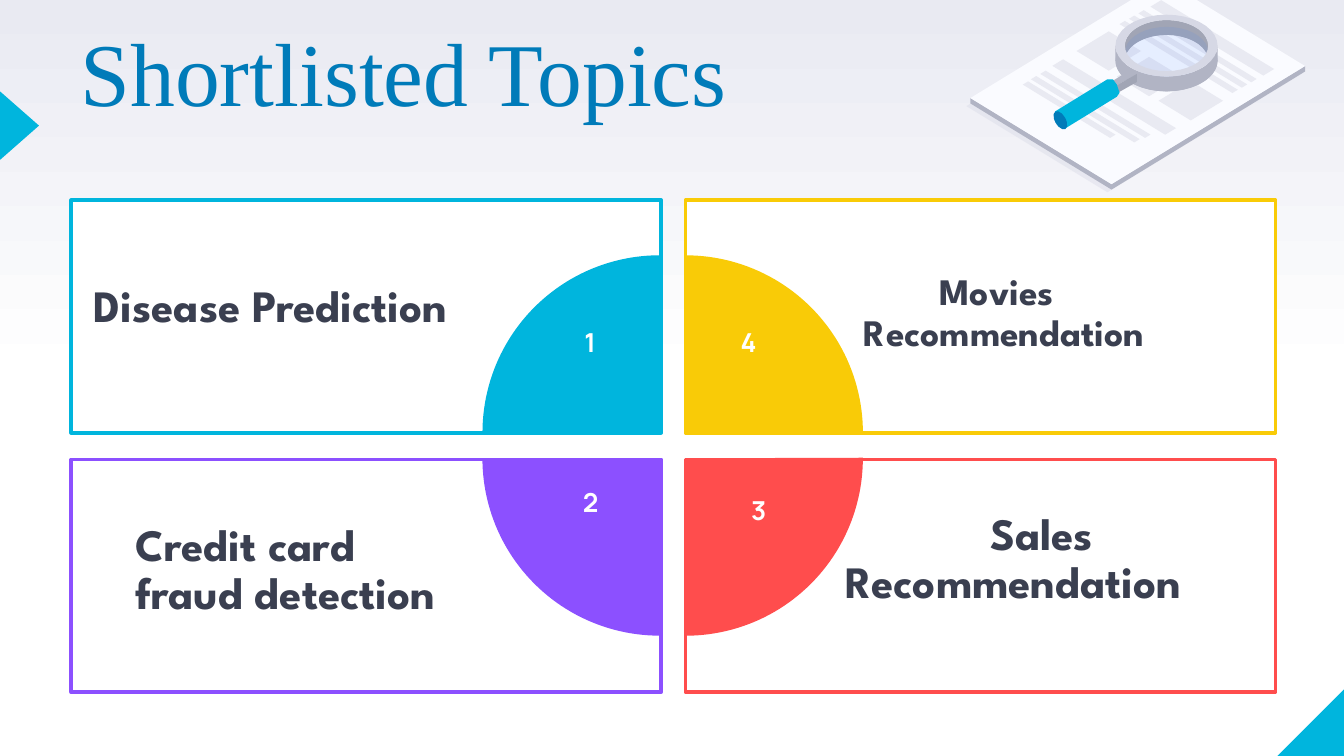
import math

from lxml import etree
from pptx import Presentation
from pptx.dml.color import RGBColor
from pptx.enum import shapes, text
from pptx.oxml.ns import qn
from pptx.util import Inches, Pt

CYAN = RGBColor(0x00, 0xB5, 0xDD)
BLUE = RGBColor(0x00, 0x7B, 0xB9)
YELLOW = RGBColor(0xF9, 0xCB, 0x07)
RED = RGBColor(0xFF, 0x4D, 0x4D)
PURPLE = RGBColor(0x8C, 0x50, 0xFF)
WHITE = RGBColor(0xFF, 0xFF, 0xFF)
INK = RGBColor(0x3A, 0x3F, 0x50)
MIST = RGBColor(0xE9, 0xEA, 0xF2)
PAPER = RGBColor(0xFA, 0xFB, 0xFF)
SILVER = RGBColor(0xD6, 0xD8, 0xE5)
GRAY = RGBColor(0xB1, 0xB4, 0xC4)
DARK_GRAY = RGBColor(0xA1, 0xA5, 0xB5)
GLASS = RGBColor(0x3E, 0x7E, 0xFF)

# Content: column, row, colour, pie rotation, number and its box, topic and its box
TOPICS = [
    dict(col=0, row=0, color=CYAN, turn=0, num="1", num_box=(4.2, 2.38, 0.38, 0.56),
         lines=["Disease Prediction"], box=(0.6, 1.25, 4.54, 2.08), size=24, indent=0),
    dict(col=1, row=0, color=YELLOW, turn=90, num="4", num_box=(5.31, 2.38, 0.52, 0.56),
         lines=["Movies Recommendation"], box=(6.33, 1.51, 3.35, 1.65), size=20, indent=0.56),
    dict(col=1, row=1, color=RED, turn=180, num="3", num_box=(5.45, 3.63, 0.39, 0.52),
         lines=["Sales Recommendation"], box=(6.19, 3.34, 3.68, 1.65), size=24, indent=1.08),
    dict(col=0, row=1, color=PURPLE, turn=270, num="2", num_box=(4.16, 3.57, 0.47, 0.58),
         lines=["Credit card", "fraud detection"], box=(0.91, 3.34, 3.59, 1.82), size=24, indent=0),
]
CARD_X, CARD_Y, CARD_W, CARD_H = (0.53, 5.1), (1.49, 3.42), 4.39, 1.73
PIE_X, PIE_Y, PIE_D = (3.59, 3.78), (1.9, 2.09), 2.64

# Printed bars on the sheet: left corner x, y, length along, width across
BARS = [
    (8.56, 0.05, 0.84, 0.08), (8.47, 0.1, 0.84, 0.04), (8.4, 0.14, 0.84, 0.04),
    (8.33, 0.18, 0.84, 0.04), (7.83, 0.49, 0.84, 0.08), (7.74, 0.55, 0.78, 0.04),
    (7.67, 0.59, 0.77, 0.04), (7.61, 0.63, 0.65, 0.04), (8.01, 0.38, 0.24, 0.24),
    (8.31, 0.57, 0.24, 0.24), (8.62, 0.75, 0.24, 0.24),
]
SLOPE = 0.61
LENS_X, TOP_Y, LOW_Y = 8.68, 0.34, 0.45
OUTER, INNER = (0.38, 0.23), (0.31, 0.19)


def paint(sp, color, opacity=None, line=None):
    sp.shadow.inherit = False
    sp.fill.solid()
    sp.fill.fore_color.rgb = color
    if opacity:
        clr = sp.fill._xPr.find(qn("a:solidFill"))[0]
        etree.SubElement(clr, qn("a:alpha")).set("val", str(opacity * 1000))
    if line:
        sp.line.color.rgb = line
        sp.line.width = Pt(2)
    else:
        sp.line.fill.background()
    return sp


def add_preset(parent, kind, box, color, turn=0, line=None):
    sp = parent.add_shape(kind, *map(Inches, box))
    sp.rotation = turn
    return paint(sp, color, line=line)


def add_outline(parent, contours, color, opacity=None):
    """Fill one shape made of closed contours; a second one cuts a hole."""
    contours = [[(Inches(x), Inches(y)) for x, y in c] for c in contours]
    fb = parent.build_freeform(*contours[0][0])
    fb.add_line_segments(contours[0][1:], close=True)
    for c in contours[1:]:
        fb.move_to(*c[0])
        fb.add_line_segments(c[1:], close=True)
    return paint(fb.convert_to_shape(), color, opacity)


def add_text(s, lines, box, font="League Spartan", size=24, color=INK, bold=True,
             align=None, anchor=text.MSO_ANCHOR.TOP, inset=(0.1, 0.05), spacing=None, indent=0):
    tf = s.shapes.add_textbox(*map(Inches, box)).text_frame
    tf.word_wrap = True
    tf.vertical_anchor = anchor
    tf.margin_left = tf.margin_right = Inches(inset[0])
    tf.margin_top = tf.margin_bottom = Inches(inset[1])
    for i, line in enumerate(lines):
        p = tf.paragraphs[0] if i == 0 else tf.add_paragraph()
        p.alignment = align
        p.line_spacing = spacing
        if indent:
            p._p.get_or_add_pPr().set("indent", str(Inches(indent)))
        r = p.add_run()
        r.text = line
        r.font.name, r.font.size, r.font.bold = font, Pt(size), bold
        r.font.color.rgb = color


def iso(x, y, along, across):
    """Parallelogram lying on the tilted sheet, from its left corner."""
    return [(x, y), (x + across, y - SLOPE * across),
            (x + across + along, y + SLOPE * (along - across)), (x + along, y + SLOPE * along)]


def arc(cy, radii, start=0, end=360, steps=36):
    angles = [math.radians(start + (end - start) * i / steps) for i in range(steps + 1)]
    return [(LENS_X + radii[0] * math.cos(a), cy + radii[1] * math.sin(a)) for a in angles]


# Widescreen 16:9 slide
prs = Presentation()
prs.slide_width = Inches(10)
prs.slide_height = prs.slide_width * 9 // 16
s = prs.slides.add_slide(prs.slide_layouts[6])

# Background fading from white up to pale gray
bg = s.background.fill
bg.gradient()
bg.gradient_angle = 90
for stop, (pos, color) in zip(bg.gradient_stops, [(0.5, WHITE), (1, MIST)]):
    stop.position = pos
    stop.color.rgb = color

# Corner and edge triangles
add_preset(s.shapes, shapes.MSO_SHAPE.RIGHT_TRIANGLE, (9.5, 5.12, 0.51, 0.51), CYAN, turn=270)
add_preset(s.shapes, shapes.MSO_SHAPE.ISOSCELES_TRIANGLE, (-0.11, 0.79, 0.51, 0.29), CYAN, turn=90)

# Title
add_text(s, ["Shortlisted Topics"], (0.6, 0.28, 6.17, 1.18), font="Times New Roman", size=48,
         color=BLUE, bold=False, inset=(0, 0), spacing=0.8)

# Cards, then quarter pies, then numbers and topics
for t in TOPICS:
    add_preset(s.shapes, shapes.MSO_SHAPE.RECTANGLE,
               (CARD_X[t["col"]], CARD_Y[t["row"]], CARD_W, CARD_H), WHITE, line=t["color"])
for t in TOPICS:
    pie = add_preset(s.shapes, shapes.MSO_SHAPE.PIE,
                     (PIE_X[t["col"]], PIE_Y[t["row"]], PIE_D, PIE_D), t["color"], turn=t["turn"])
    pie.adjustments[0], pie.adjustments[1] = 107.89, 162
for t in TOPICS:
    add_text(s, [t["num"]], t["num_box"], font="Manrope", size=14, color=WHITE,
             align=text.PP_ALIGN.CENTER)
    add_text(s, t["lines"], t["box"], size=t["size"], anchor=text.MSO_ANCHOR.MIDDLE,
             inset=(0.1, 0.1), spacing=0.9, indent=t["indent"])

# Sheet of paper
art = s.shapes.add_group_shape().shapes
sheet = iso(7.22, 0.73, 1.05, 1.44)
left, _, right, front = sheet
add_outline(art, [iso(7.19, 0.79, 1.05, 1.43)], SILVER, opacity=40)
add_outline(art, [[left, front, right] + [(x, y + 0.04) for x, y in (right, front, left)]], GRAY)
add_outline(art, [sheet], PAPER)
for bar in BARS:
    add_outline(art, [iso(*bar)], MIST)

# Magnifier: lower rim, back wall, glass, front wall, upper rim
add_outline(art, [arc(LOW_Y, OUTER), arc(LOW_Y, INNER)], GRAY)
add_outline(art, [arc(TOP_Y, INNER, 180, 360) + arc(LOW_Y, INNER, 360, 180)], DARK_GRAY)
add_outline(art, [arc(0.39, INNER)], GLASS, opacity=10)
add_outline(art, [arc(TOP_Y, OUTER, 0, 180) + arc(LOW_Y, OUTER, 180, 0)], GRAY)
add_outline(art, [arc(TOP_Y, OUTER), arc(TOP_Y, INNER)], SILVER)

# Magnifier neck and grip
add_outline(art, [[(8.46, 0.55), (8.3, 0.64), (8.25, 0.62), (8.41, 0.52)]], GRAY)
add_outline(art, [[(8.46, 0.61), (8.3, 0.7), (8.3, 0.64), (8.46, 0.55)]], DARK_GRAY)
add_outline(art, [[(8.24, 0.59), (8.28, 0.59), (8.31, 0.63), (8.33, 0.69), (8.31, 0.72),
                   (7.92, 0.96), (7.85, 0.83)]], CYAN)
add_preset(art, shapes.MSO_SHAPE.OVAL, (7.85, 0.82, 0.08, 0.15), BLUE, turn=330)

prs.save("out.pptx")
